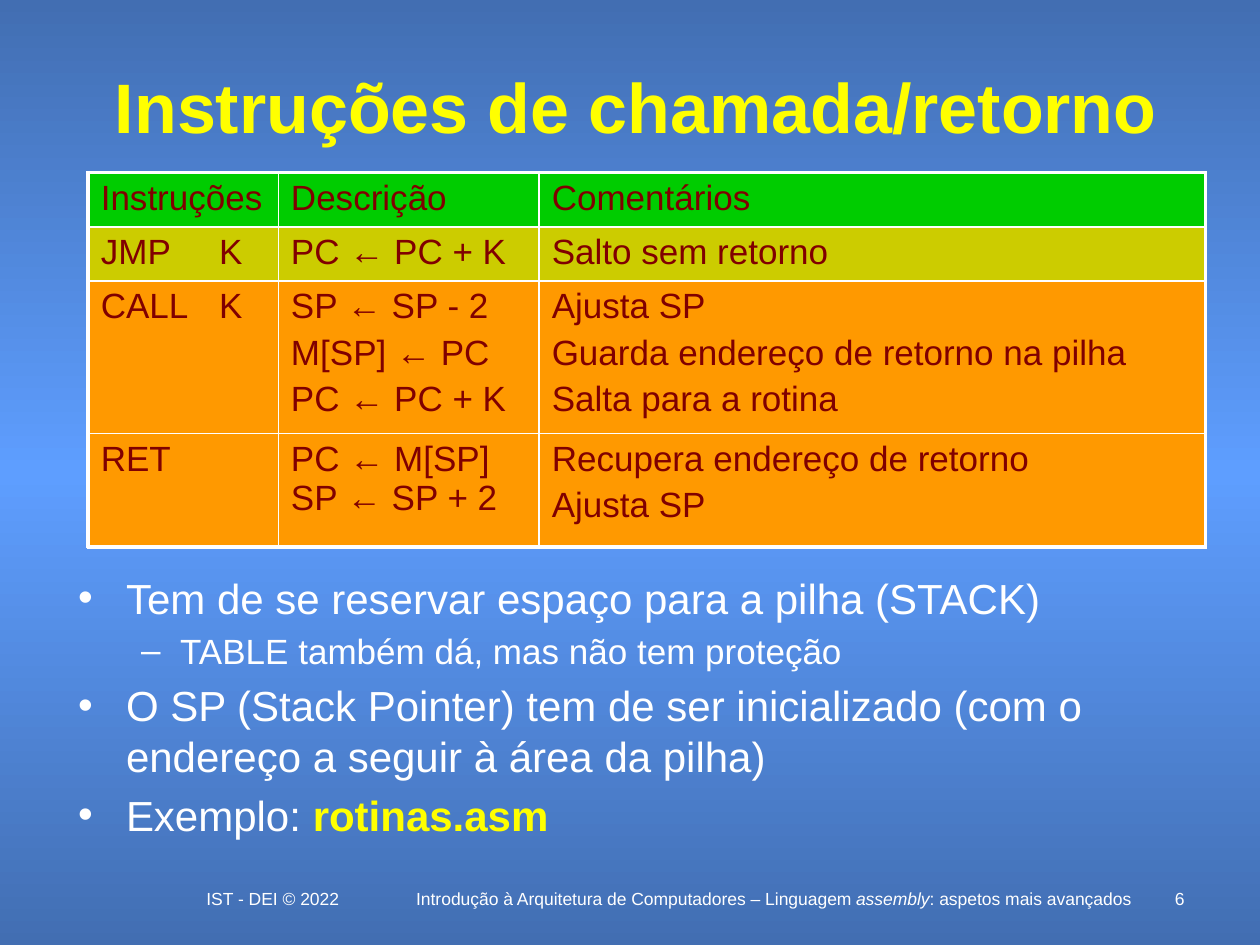
"""Build the slide on call and return instructions."""
from copy import deepcopy
from dataclasses import dataclass

from lxml import etree
from pptx import Presentation
from pptx import util as u
from pptx.dml.color import RGBColor
from pptx.enum import text as t
from pptx.oxml.ns import qn

WHITE = RGBColor(0xFF, 0xFF, 0xFF)
YELLOW = RGBColor(0xFF, 0xFF, 0x00)
MAROON = RGBColor(0x80, 0x00, 0x00)
GREEN = RGBColor(0x00, 0xCC, 0x00)
OLIVE = RGBColor(0xCC, 0xCC, 0x00)
ORANGE = RGBColor(0xFF, 0x99, 0x00)
EDGE_BLUE = RGBColor(0x42, 0x6E, 0xB2)
MID_BLUE = RGBColor(0x5E, 0x9E, 0xFF)
THIN, THICK = 1, 2.25


@dataclass
class Row:
    height: float
    fill: RGBColor
    cells: list[str]
    tight: tuple[int, ...] = ()


@dataclass
class Bullet:
    text: str
    level: int = 0
    strong: str = ""


@dataclass
class Footer:
    left: float
    width: float
    height: float
    align: t.PP_ALIGN
    runs: list[str]


COLS = [0.94, 0.57, 2.07, 5.29]
ROWS = [
    Row(0.43, GREEN, ["Instruções", "", "Descrição", "Comentários"]),
    Row(0.43, OLIVE, ["JMP", "K", "PC ← PC + K", "Salto sem retorno"]),
    Row(1.21, ORANGE, ["CALL", "K", "SP ← SP - 2\nM[SP] ← PC\nPC ← PC + K",
                       "Ajusta SP\nGuarda endereço de retorno na pilha\nSalta para a rotina"]),
    Row(0.9, ORANGE, ["RET", "", "PC ← M[SP]\nSP ← SP + 2",
                      "Recupera endereço de retorno\nAjusta SP"], tight=(2,)),
]
BULLETS = [
    Bullet("Tem de se reservar espaço para a pilha (STACK)"),
    Bullet("TABLE também dá, mas não tem proteção", level=1),
    Bullet("O SP (Stack Pointer) tem de ser inicializado "
           "(com o endereço a seguir à área da pilha)"),
    Bullet("Exemplo: ", strong="rotinas.asm"),
]
LEVELS = [(24, 0.38, -0.38), (20, 0.81, -0.31)]
FOOTERS = [
    Footer(1.33, 1.67, 0.25, t.PP_ALIGN.CENTER, ["IST - DEI © 2022"]),
    Footer(3.17, 5.94, 0.25, t.PP_ALIGN.CENTER,
           ["Introdução à Arquitetura de Computadores – Linguagem ",
            "assembly", ": aspetos mais avançados"]),
    Footer(9.08, 0.42, 0.17, t.PP_ALIGN.RIGHT, ["6"]),
]


def add_run(p, text: str, *, size: float, color: RGBColor = WHITE,
            bold: bool = False, italic: bool = False) -> None:
    r = p.add_run()
    r.text = text
    r.font.name = "Arial"
    r.font.size = u.Pt(size)
    r.font.color.rgb = color
    r.font.bold = bold
    r.font.italic = italic


def next_paragraph(tf, index: int):
    return tf.add_paragraph() if index else tf.paragraphs[0]


def place(sp, left: float, top: float, width: float, height: float) -> None:
    sp.left, sp.top = u.Inches(left), u.Inches(top)
    sp.width, sp.height = u.Inches(width), u.Inches(height)


def set_background(s) -> None:
    fill = s.background.fill
    fill.gradient()
    fill.gradient_angle = 270
    first, last = fill.gradient_stops
    first.color.rgb, first.position = EDGE_BLUE, 0
    last.color.rgb, last.position = MID_BLUE, 0.5
    stops = fill._fill._gradFill.find(qn("a:gsLst"))
    end = deepcopy(stops[0])
    end.set("pos", "100000")
    stops.append(end)


def add_border(cell, side: str, width: float) -> None:
    ln = etree.SubElement(cell._tc.get_or_add_tcPr(), qn(f"a:ln{side}"),
                          w=str(u.Pt(width)))
    if width:
        solid = etree.SubElement(ln, qn("a:solidFill"))
        etree.SubElement(solid, qn("a:srgbClr"), val=str(WHITE))
    else:
        etree.SubElement(ln, qn("a:noFill"))


def fill_cell(cell, row: Row, i: int, j: int) -> None:
    last_row, last_col = len(ROWS) - 1, len(COLS) - 1
    widths = {
        "L": THICK if j == 0 else 0 if j == 1 else THIN,
        "R": THICK if j == last_col else 0 if j == 0 and i else THIN,
        "T": THIN if i else THICK,
        "B": THICK if i == last_row else THIN,
    }
    for side, width in widths.items():
        add_border(cell, side, width)
    cell.fill.solid()
    cell.fill.fore_color.rgb = row.fill
    if not row.cells[j]:
        return
    for k, line in enumerate(row.cells[j].split("\n")):
        p = next_paragraph(cell.text_frame, k)
        p.space_before = u.Pt(0 if j in row.tight else 4)
        add_run(p, line, size=20, color=MAROON)


def add_instruction_table(s) -> None:
    frame = s.shapes.add_table(len(ROWS), len(COLS), u.Inches(0.7), u.Inches(1.37),
                               u.Inches(sum(COLS)), u.Inches(sum(r.height for r in ROWS)))
    table = frame.table
    table.first_row = table.horz_banding = False
    for col, width in zip(table.columns, COLS):
        col.width = u.Inches(width)
    for i, row in enumerate(ROWS):
        table.rows[i].height = u.Inches(row.height)
        for j in range(len(COLS)):
            fill_cell(table.cell(i, j), row, i, j)
    table.cell(0, 0).merge(table.cell(0, 1))


def fill_title(sp) -> None:
    place(sp, 0.52, 0.5, 9.05, 0.67)
    tf = sp.text_frame
    tf.auto_size = t.MSO_AUTO_SIZE.NONE
    tf.vertical_anchor = t.MSO_ANCHOR.MIDDLE
    p = tf.paragraphs[0]
    p.alignment = t.PP_ALIGN.CENTER
    add_run(p, "Instruções de chamada/retorno", size=40, color=YELLOW, bold=True)


def fill_body(sp) -> None:
    place(sp, 0.52, 4.49, 8.87, 2.32)
    tf = sp.text_frame
    tf.auto_size = t.MSO_AUTO_SIZE.NONE
    for i, item in enumerate(BULLETS):
        size, margin, indent = LEVELS[item.level]
        p = next_paragraph(tf, i)
        p.level = item.level
        p.space_before = u.Pt(size * 0.2)
        pPr = p._p.get_or_add_pPr()
        pPr.set("marL", str(u.Inches(margin)))
        pPr.set("indent", str(u.Inches(indent)))
        add_run(p, item.text, size=size)
        if item.strong:
            add_run(p, item.strong, size=size, color=YELLOW, bold=True)


def add_footer(s, footer: Footer) -> None:
    sp = s.shapes.add_textbox(u.Inches(footer.left), u.Inches(7),
                              u.Inches(footer.width), u.Inches(footer.height))
    tf = sp.text_frame
    tf.word_wrap = True
    p = tf.paragraphs[0]
    p.alignment = footer.align
    for i, text in enumerate(footer.runs):
        add_run(p, text, size=10, italic=i == 1)


def main() -> None:
    prs = Presentation()
    prs.slide_width, prs.slide_height = u.Inches(10), u.Inches(7.5)
    s = prs.slides.add_slide(prs.slide_layouts[1])
    set_background(s)
    fill_title(s.shapes.title)
    add_instruction_table(s)
    fill_body(s.placeholders[1])
    for footer in FOOTERS:
        add_footer(s, footer)
    prs.save("out.pptx")


if __name__ == "__main__":
    main()
